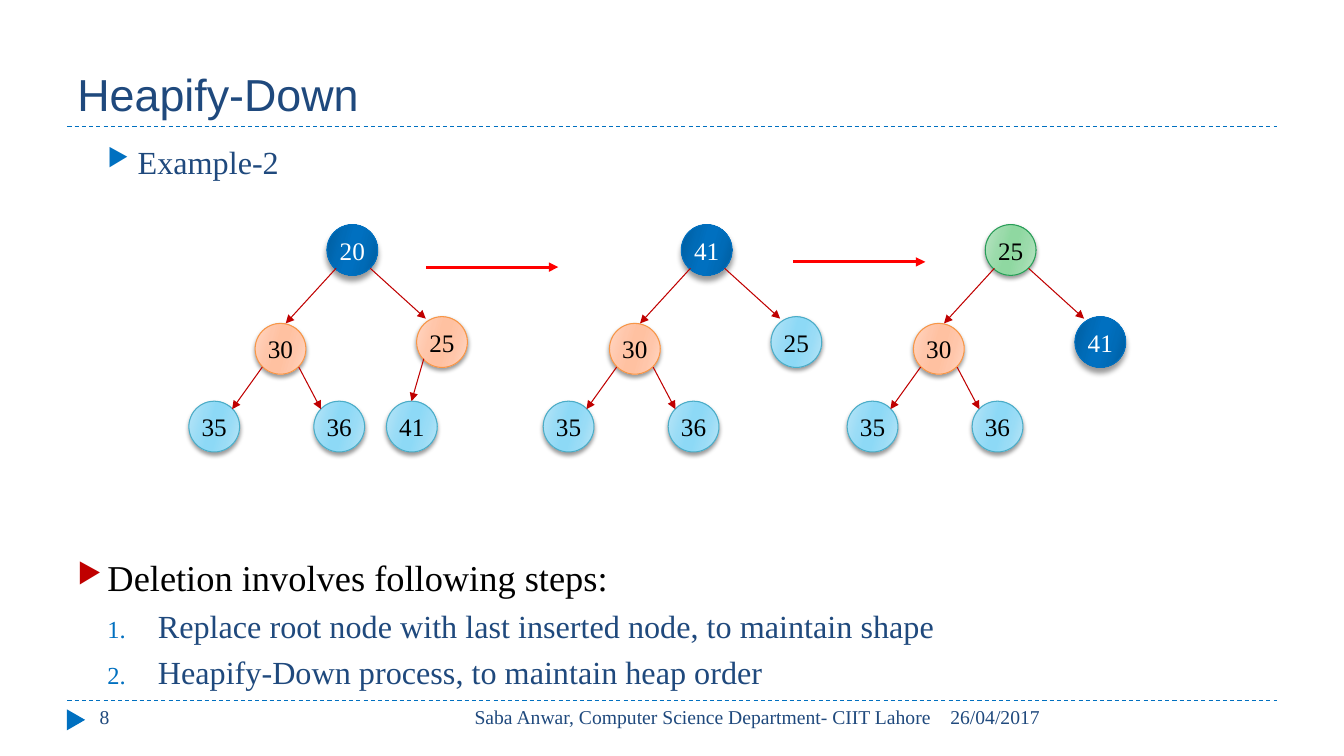
from dataclasses import dataclass, field
from typing import Any

from lxml.etree import SubElement
from pptx import Presentation
from pptx.dml.color import RGBColor
from pptx.enum.dml import MSO_LINE
from pptx.enum.shapes import MSO_CONNECTOR, MSO_SHAPE
from pptx.enum.text import MSO_ANCHOR, PP_ALIGN
from pptx.oxml.ns import qn
from pptx.util import Cm, Pt

NAVY = RGBColor(0x1F, 0x49, 0x7D)
BLUE = RGBColor(0x00, 0x70, 0xC0)
DARK = RGBColor(0xC0, 0x00, 0x00)
RED = RGBColor(0xFF, 0x00, 0x00)
BLACK = RGBColor(0x00, 0x00, 0x00)
WHITE = RGBColor(0xFF, 0xFF, 0xFF)
TEAL = RGBColor(0x4B, 0xAC, 0xC6)
AMBER = RGBColor(0xF7, 0x96, 0x46)
GREEN = RGBColor(0x27, 0x9D, 0x57)

SERIF = "Times New Roman"
SIZE = 1.28
STOPS = (0, 30, 45, 55, 73, 100)


@dataclass(frozen=True)
class Look:
    edge: RGBColor
    outer: RGBColor
    mid: RGBColor
    inner: RGBColor
    ink: RGBColor = BLACK
    blur: float = 3
    drop: float = 2


SKY = Look(TEAL, RGBColor(0xB9, 0xE5, 0xF7), RGBColor(0x99, 0xDC, 0xF6), RGBColor(0x8D, 0xD9, 0xF6))
PEACH = Look(AMBER, RGBColor(0xFF, 0xD7, 0xC5), RGBColor(0xFF, 0xC6, 0xAA), RGBColor(0xFF, 0xC1, 0xA1))
MINT = Look(GREEN, RGBColor(0xBB, 0xE4, 0xC5), RGBColor(0x9B, 0xDB, 0xAB), RGBColor(0x8F, 0xD8, 0xA1))
DEEP = Look(BLUE, RGBColor(0x00, 0x5C, 0x9D), RGBColor(0x00, 0x6B, 0xB7), BLUE, WHITE, 4, 3.4)


@dataclass(frozen=True)
class Node:
    slot: str
    label: str
    look: Look


@dataclass(frozen=True)
class Tree:
    left: float
    nodes: tuple[Node, ...]


@dataclass(frozen=True)
class Line:
    start: tuple[float, float]
    end: tuple[float, float]
    color: RGBColor
    width: float = 0.75
    dashed: bool = False


@dataclass(frozen=True)
class Item:
    text: str
    size: float
    color: RGBColor = NAVY
    font: str = SERIF
    align: PP_ALIGN = PP_ALIGN.LEFT
    mark: str = ""
    tint: RGBColor = BLUE
    margin: float = 0
    hang: float = 0
    before: float = 0


@dataclass(frozen=True)
class Box:
    left: float
    top: float
    width: float
    height: float
    items: tuple[Item, ...]
    form: dict[str, Any] = field(default_factory=dict)


SLOTS = {
    "root": (0, 5.66), "left": (-1.81, 8.15), "right": (2.26, 7.98),
    "low1": (-3.48, 10.11), "low2": (-0.33, 10.11), "low3": (1.5, 10.11),
}
EDGES = {
    "left": ((0.23, 6.76), (-1.04, 8.15)),
    "right": ((1.09, 6.76), (2.49, 8.03)),
    "low1": ((-1.63, 9.25), (-2.39, 10.31)),
    "low2": ((-0.71, 9.25), (-0.15, 10.31)),
    "low3": ((2.44, 9.04), (2.13, 10.11)),
}
SHARED = (Node("low2", "36", SKY), Node("low1", "35", SKY), Node("left", "30", PEACH))
TREES = (
    Tree(8.24, SHARED + (Node("right", "25", PEACH), Node("root", "20", DEEP), Node("low3", "41", SKY))),
    Tree(17.17, SHARED + (Node("right", "25", SKY), Node("root", "41", DEEP))),
    Tree(24.83, SHARED + (Node("right", "41", DEEP), Node("root", "25", MINT))),
)
RULES = tuple(Line((1.7, y), (32.18, y), BLUE, dashed=True) for y in (17.65, 3.18))
STEPS = (
    Line((10.74, 6.73), (14.07, 6.73), RED, 2.25),
    Line((19.99, 6.6), (23.32, 6.6), RED, 2.25),
)
STEP = {"size": 23, "mark": "1.", "margin": 2.03, "hang": 1.27, "before": 5.5}
BOXES = (
    Box(1.7, 0.43, 30.48, 2.74, (Item("Heapify-Down", 32, font="Arial"),), {"vertical_anchor": MSO_ANCHOR.BOTTOM}),
    Box(23.7, 17.65, 8.48, 1.02, (Item("26/04/2017", 14),)),
    Box(10.74, 17.65, 12.98, 1.02,
        (Item("Saba Anwar, Computer Science Department- CIIT Lahore", 14, align=PP_ALIGN.RIGHT),)),
    Box(2.26, 17.65, 7.34, 1.02, (Item("8", 14),)),
    Box(1.7, 3.45, 30.48, 1.2, (Item("Example-2", 23, mark="▶", margin=1.52, hang=0.76),)),
    Box(1.7, 13.86, 30.48, 3.6, (
        Item("Deletion involves following steps:", 26, BLACK, mark="▶", tint=DARK, margin=0.76, hang=0.76),
        Item("Replace root node with last inserted node, to maintain shape", **STEP),
        Item("Heapify-Down process, to maintain heap order", **STEP),
    )),
)


def put(thing: Any, form: dict[str, Any]) -> None:
    for name, value in form.items():
        setattr(thing, name, value)


def add(parent: Any, tag: str, **attrs: Any) -> Any:
    return SubElement(parent, qn(tag), {key: str(value) for key, value in attrs.items()})


def write(para: Any, item: Item) -> None:
    if item.mark:
        props = para._p.get_or_add_pPr()
        props.set("marL", str(Cm(item.margin)))
        props.set("indent", str(-Cm(item.hang)))
        add(add(props, "a:buClr"), "a:srgbClr", val=item.tint)
        add(props, "a:buSzPct", val=76000)
        if item.mark == "1.":
            add(props, "a:buAutoNum", type="arabicPeriod")
        else:
            add(props, "a:buChar", char=item.mark)
    put(para, {"alignment": item.align, "space_before": Pt(item.before)})
    run = para.add_run()
    run.text = item.text
    put(run.font, {"name": item.font, "size": Pt(item.size)})
    run.font.color.rgb = item.color


def draw_box(shapes: Any, box: Box) -> None:
    frame = shapes.add_textbox(Cm(box.left), Cm(box.top), Cm(box.width), Cm(box.height)).text_frame
    put(frame, {"word_wrap": True, **box.form})
    for count, item in enumerate(box.items):
        write(frame.add_paragraph() if count else frame.paragraphs[0], item)


def draw_line(shapes: Any, line: Line) -> None:
    ends = (Cm(value) for value in line.start + line.end)
    link = shapes.add_connector(MSO_CONNECTOR.STRAIGHT, *ends)
    link.line.color.rgb = line.color
    link.line.width = Pt(line.width)
    props = link.element.spPr
    if line.dashed:
        link.line.dash_style = MSO_LINE.DASH
    else:
        add(props.find(qn("a:ln")), "a:tailEnd", type="triangle")
    add(props, "a:effectLst")


def draw_node(shapes: Any, left: float, node: Node) -> None:
    look = node.look
    x, y = SLOTS[node.slot]
    disc = shapes.add_shape(MSO_SHAPE.OVAL, Cm(left + x), Cm(y), Cm(SIZE), Cm(SIZE))
    disc.fill.gradient()
    disc.fill.gradient_angle = 344
    stops = disc.element.spPr.find(qn("a:gradFill")).find(qn("a:gsLst"))
    stops.clear()
    half = (look.outer, look.mid, look.inner)
    for place, color in zip(STOPS, half + half[::-1]):
        add(add(stops, "a:gs", pos=place * 1000), "a:srgbClr", val=color)
    disc.line.color.rgb = look.edge
    disc.line.width = Pt(0.75)
    disc.shadow.inherit = False
    shade = add(disc.element.spPr.find(qn("a:effectLst")), "a:outerShdw", blurRad=Pt(look.blur),
                dist=Pt(look.drop), dir=5400000, rotWithShape=0)
    add(add(shade, "a:srgbClr", val=BLACK), "a:alpha", val=40000)
    put(disc.text_frame, {
        "margin_left": 0, "margin_right": 0, "margin_top": Cm(0.13), "margin_bottom": Cm(0.13),
        "vertical_anchor": MSO_ANCHOR.MIDDLE,
    })
    write(disc.text_frame.paragraphs[0], Item(node.label, 18, look.ink, align=PP_ALIGN.CENTER))


def draw_tree(shapes: Any, tree: Tree) -> None:
    for node in tree.nodes:
        draw_node(shapes, tree.left, node)
    slots = {node.slot for node in tree.nodes}
    for slot, ends in EDGES.items():
        if slot in slots:
            start, end = ((tree.left + x, y) for x, y in ends)
            draw_line(shapes, Line(start, end, DARK))


def main() -> None:
    deck = Presentation()
    put(deck, {"slide_width": Cm(33.87), "slide_height": Cm(19.05)})
    shapes = deck.slides.add_slide(deck.slide_layouts[6]).shapes
    for rule in RULES:
        draw_line(shapes, rule)
    flag = shapes.add_shape(MSO_SHAPE.ISOSCELES_TRIANGLE, Cm(1.65), Cm(17.91), Cm(0.53), Cm(0.46))
    put(flag, {"rotation": 90})
    flag.shadow.inherit = False
    flag.fill.solid()
    flag.fill.fore_color.rgb = BLUE
    flag.line.fill.background()
    for box in BOXES:
        draw_box(shapes, box)
    for tree in TREES:
        draw_tree(shapes, tree)
    for step in STEPS:
        draw_line(shapes, step)
    deck.save("out.pptx")


if __name__ == "__main__":
    main()
